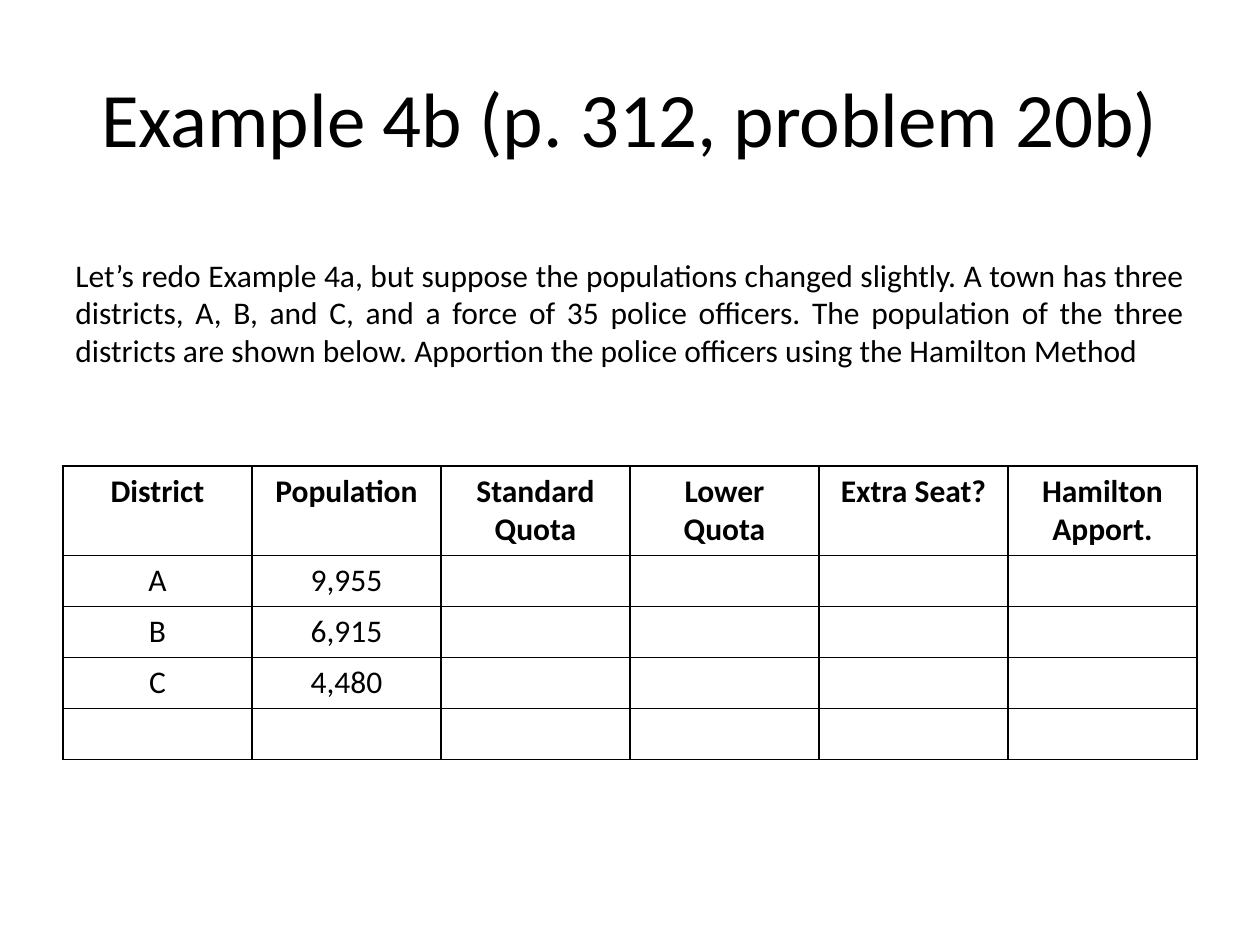
from lxml.etree import SubElement
from pptx import Presentation
from pptx.dml.color import RGBColor
from pptx.enum.text import MSO_ANCHOR as Anchor, PP_ALIGN as Align
from pptx.oxml.ns import qn
from pptx.util import Inches, Pt

FONT = "Calibri"
BLACK = "000000"
WHITE = "FFFFFF"
LEFT, WIDTH = 0.5, 9

TITLE = "Example 4b (p. 312, problem 20b)"
PROBLEM = (
    "Let’s redo Example 4a, but suppose the populations changed slightly. "
    "A town has three districts, A, B, and C, and a force of 35 police officers. "
    "The population of the three districts are shown below. "
    "Apportion the police officers using the Hamilton Method"
)
HEADINGS = ["District", "Population", "Standard Quota", "Lower Quota",
            "Extra Seat?", "Hamilton Apport."]
DISTRICTS = [("A", "9,955"), ("B", "6,915"), ("C", "4,480")]


def color(value):
    return RGBColor.from_string(value)


def add_text(para, text, size, align, bold=False):
    para.alignment = align
    span = para.add_run()
    span.text = text
    span.font.name = FONT
    span.font.size = Pt(size)
    span.font.bold = bold
    span.font.color.rgb = color(BLACK)


def add_text_box(page, box, text, size, align, anchor):
    frame = page.shapes.add_textbox(*map(Inches, box)).text_frame
    frame.word_wrap = True
    frame.vertical_anchor = anchor
    add_text(frame.paragraphs[0], text, size, align)


def set_borders(cell):
    # Borders must come before the fill in the cell properties
    properties = cell._tc.get_or_add_tcPr()
    for side in ("lnL", "lnR", "lnT", "lnB"):
        line = SubElement(properties, qn(f"a:{side}"), w=str(Pt(1)))
        fill = SubElement(line, qn("a:solidFill"))
        SubElement(fill, qn("a:srgbClr"), val=BLACK)


def add_quota_table(page, box, header_height=0.71):
    # One header row, one row per district and an empty row for totals
    rows = [HEADINGS, *DISTRICTS, ()]
    left, top, width, height = map(Inches, box)
    table = page.shapes.add_table(
        len(rows), len(HEADINGS), left, top, width, height).table
    table.horz_banding = False
    row_height = (box[3] - header_height) / (len(rows) - 1)
    for index, values in enumerate(rows):
        table.rows[index].height = Inches(row_height if index else header_height)
        for cell in table.rows[index].cells:
            set_borders(cell)
            cell.fill.solid()
            cell.fill.fore_color.rgb = color(WHITE)
        for column, value in enumerate(values):
            para = table.cell(index, column).text_frame.paragraphs[0]
            add_text(para, value, 18, Align.CENTER, bold=index == 0)


def main():
    deck = Presentation()
    deck.slide_width, deck.slide_height = Inches(10), Inches(7.5)
    page = deck.slides.add_slide(deck.slide_layouts[6])

    # Title, problem statement and worksheet table
    add_text_box(page, (LEFT, 0.3, WIDTH, 1.25), TITLE, 44,
                 Align.CENTER, Anchor.MIDDLE)
    add_quota_table(page, (LEFT, 3.7, WIDTH, 2.33))
    add_text_box(page, (LEFT, 1.98, WIDTH, 1.01), PROBLEM, 18,
                 Align.JUSTIFY, Anchor.TOP)
    deck.save("out.pptx")


if __name__ == "__main__":
    main()
